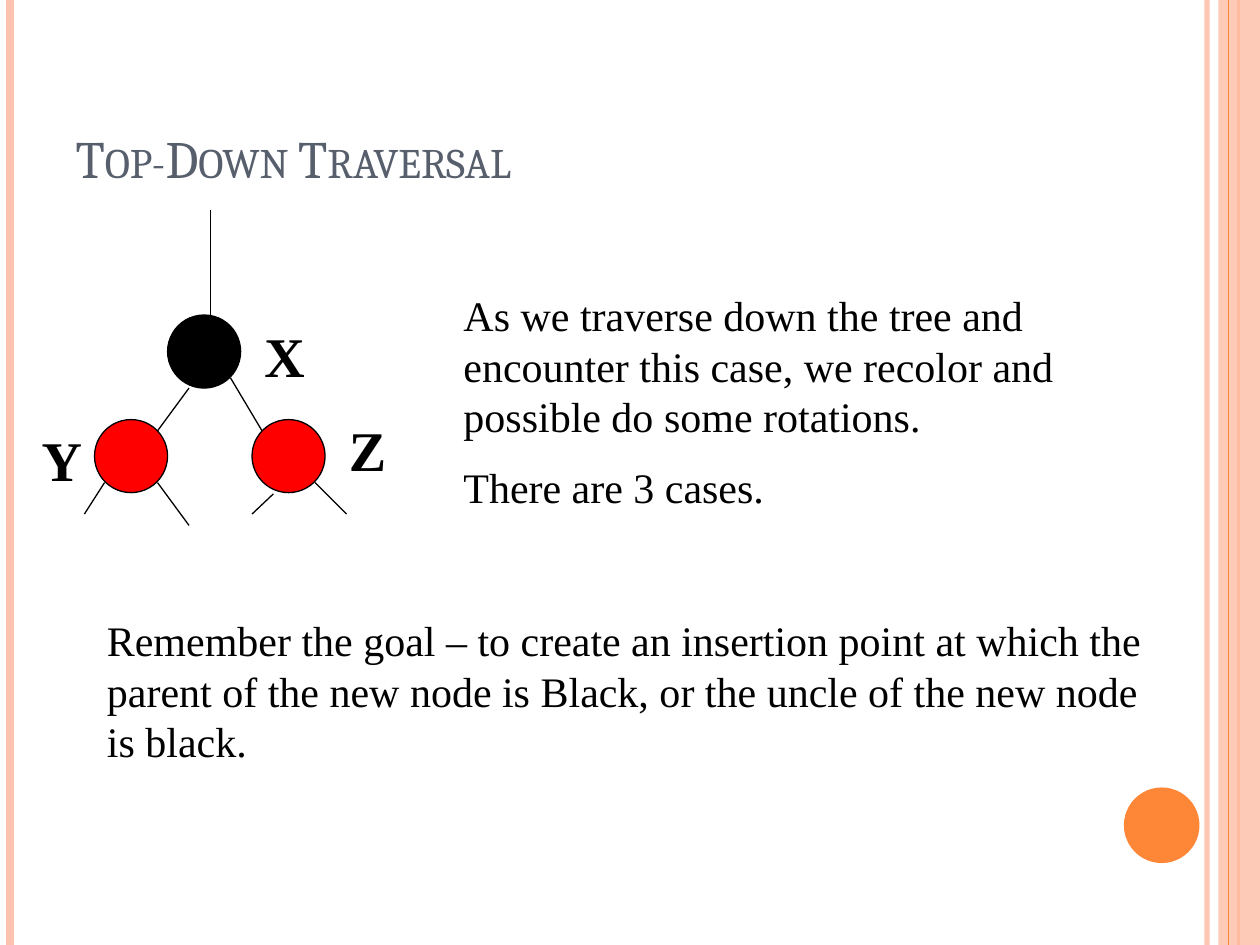
import pptx
import pptx.dml.color
import pptx.enum.shapes
import pptx.enum.text
import pptx.util
from lxml import etree
from pptx.oxml.ns import qn
from pptx.util import Inches

BLACK, RED, ORANGE, PEACH, SLATE = "000000", "FF0000", "FE8637", "FEC3AE", "575F6D"
NODE_SIZE = 0.58
SHAPES = pptx.enum.shapes.MSO_SHAPE
ALIGN = pptx.enum.text.PP_ALIGN
ANCHOR = pptx.enum.text.MSO_ANCHOR

BODY = {"name": "Times New Roman", "size": pptx.util.Pt(24)}
LABEL = {"name": "Times New Roman", "size": pptx.util.Pt(32), "bold": True}
TITLE = {"name": "Cambria", "size": pptx.util.Pt(30), "bold": False}


def rgb(value):
    return pptx.dml.color.RGBColor.from_string(value)


def set_opacity(element, percent):
    """Make the first solid colour inside element partly transparent."""
    color = next(element.iter(qn("a:srgbClr")))
    etree.SubElement(color, qn("a:alpha")).set("val", str(percent * 1000))


def format_font(font, values, color):
    for name, value in values.items():
        setattr(font, name, value)
    font.color.rgb = rgb(color)


def add_line(slide, start, end, color=BLACK, width=0.75, opacity=100):
    line = slide.shapes.add_connector(
        pptx.enum.shapes.MSO_CONNECTOR.STRAIGHT,
        *[Inches(value) for value in (*start, *end)])
    line.line.color.rgb = rgb(color)
    line.line.width = pptx.util.Pt(width)
    properties = line._element.spPr
    if opacity < 100:
        set_opacity(properties, opacity)
    etree.SubElement(properties, qn("a:effectLst"))


def add_solid(slide, kind, position, fill, outline=None, opacity=100):
    shape = slide.shapes.add_shape(kind, *[Inches(value) for value in position])
    shape.shadow.inherit = False
    shape.fill.solid()
    shape.fill.fore_color.rgb = rgb(fill)
    if opacity < 100:
        set_opacity(shape._element.spPr, opacity)
    if outline:
        shape.line.color.rgb = rgb(outline)
        shape.line.width = pptx.util.Pt(0.75)
    else:
        shape.line.fill.background()


def add_text(slide, position, paragraphs, values, align=ALIGN.LEFT):
    box = slide.shapes.add_textbox(*[Inches(value) for value in position])
    frame = box.text_frame
    frame.word_wrap = True
    for index, text in enumerate(paragraphs):
        para = frame.add_paragraph() if index else frame.paragraphs[0]
        para.alignment = align
        if index:
            para.space_before = pptx.util.Pt(12)
        span = para.add_run()
        span.text = text
        format_font(span.font, values, BLACK)


def add_title(slide, text):
    title = slide.shapes.title
    title.left, title.top = Inches(0.5), Inches(0.3)
    title.width, title.height = Inches(8.17), Inches(1.25)
    frame = title.text_frame
    frame.word_wrap = True
    frame.vertical_anchor = ANCHOR.BOTTOM
    para = frame.paragraphs[0]
    para.alignment = ALIGN.LEFT
    span = para.add_run()
    span.text = text
    format_font(span.font, TITLE, SLATE)
    span._r.get_or_add_rPr().set("cap", "small")


def add_border(slide):
    def add_stripe(x, color, width, opacity=100):
        add_line(slide, (x, 0), (x, 7.5), color, width, opacity)

    add_stripe(9.58, PEACH, 3, 93)
    add_stripe(0.08, PEACH, 4.5)
    add_stripe(9.83, ORANGE, 1.5)
    add_solid(slide, SHAPES.RECTANGLE, (9.67, 0, 0.33, 7.5), PEACH, opacity=87)
    add_stripe(9.75, ORANGE, 0.75)
    add_solid(slide, SHAPES.OVAL, (8.92, 6.25, 0.6, 0.6), ORANGE)


def add_tree(slide):
    nodes = [(1.33, 2.5, BLACK), (0.75, 3.33, RED), (2, 3.33, RED)]
    for left, top, fill in nodes:
        add_solid(slide, SHAPES.OVAL, (left, top, NODE_SIZE, NODE_SIZE), fill, BLACK)

    branches = [
        ((1.67, 2.5), (1.67, 1.67)),
        ((1.5, 3.08), (1.25, 3.42)),
        ((1.83, 3), (2.08, 3.42)),
        ((0.83, 3.83), (0.67, 4.08)),
        ((1.25, 3.83), (1.5, 4.17)),
        ((2.17, 3.92), (2, 4.08)),
        ((2.5, 3.83), (2.75, 4.08)),
    ]
    for start, end in branches:
        add_line(slide, start, end)

    add_text(slide, (2, 2.5, 0.5, 0.63), ["X"], LABEL)
    add_text(slide, (0, 3.33, 0.75, 0.63), ["Y"], LABEL, ALIGN.RIGHT)
    add_text(slide, (2.67, 3.25, 0.58, 0.63), ["Z"], LABEL)


def main():
    deck = pptx.Presentation()
    deck.slide_width, deck.slide_height = Inches(10), Inches(7.5)
    slide = deck.slides.add_slide(deck.slide_layouts[5])
    add_border(slide)
    add_title(slide, "Top-Down Traversal")
    add_tree(slide)
    add_text(slide, (3.58, 2.25, 5.33, 1.9), [
        "As we traverse down the tree and encounter this case, "
        "we recolor and possible do some rotations.",
        "There are 3 cases.",
    ], BODY)
    add_text(slide, (0.75, 4.83, 8.58, 1.3), [
        "Remember the goal – to create an insertion point at which the parent "
        "of the new node is Black, or the uncle of the new node is black.",
    ], BODY)
    deck.save("out.pptx")


if __name__ == "__main__":
    main()
